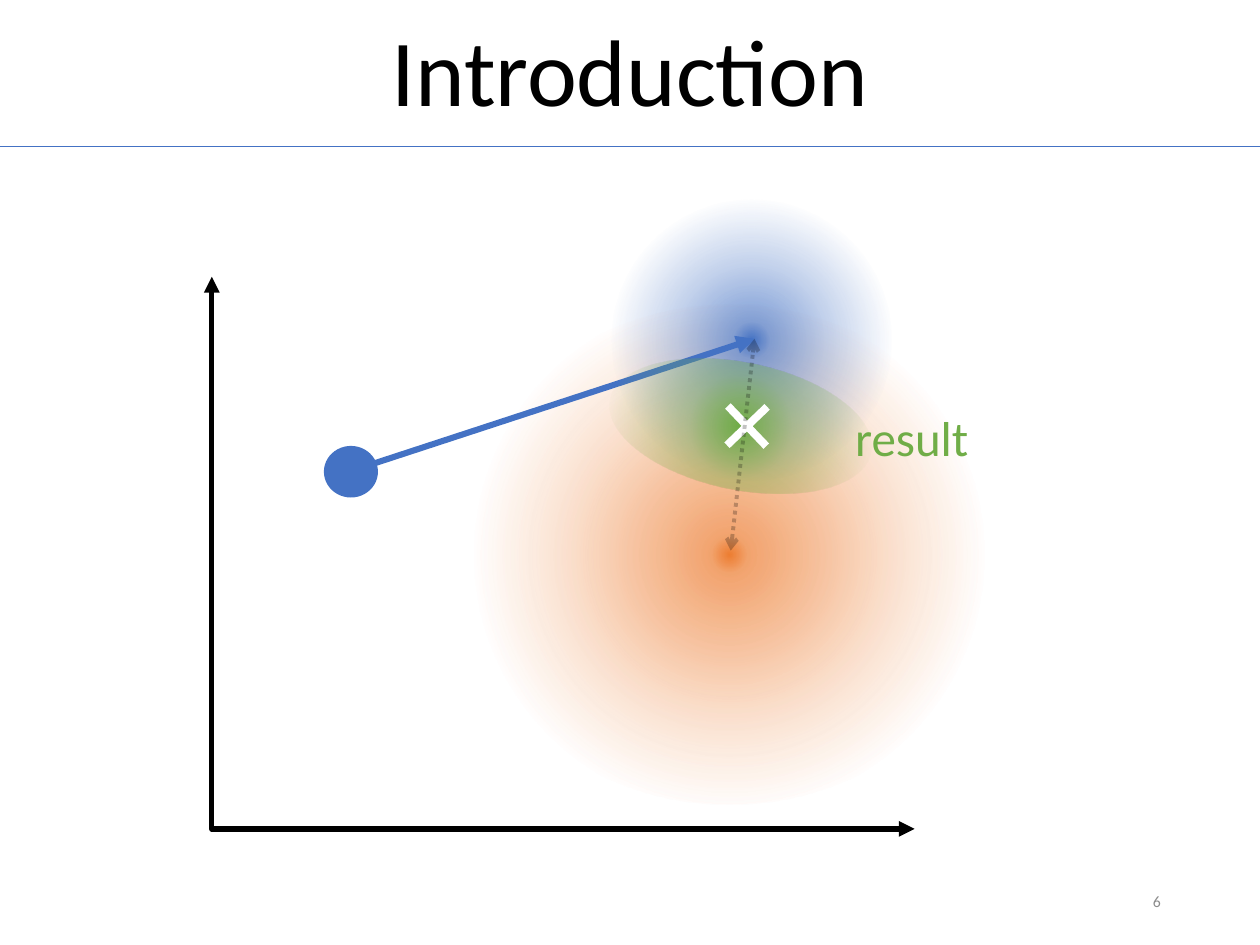
from lxml import etree
from pptx import Presentation
from pptx import util as u
from pptx.dml.color import RGBColor
from pptx.enum import dml, shapes, text
from pptx.oxml import ns

BLUE, ORANGE, GREEN = "4472C4", "ED7D31", "70AD47"
BLACK, WHITE, GRAY = "000000", "FFFFFF", "8C8C8C"


def color(value):
    return RGBColor.from_string(value)


def add_node(parent, tag, **attributes):
    node = etree.SubElement(parent, ns.qn(tag))
    for name, value in attributes.items():
        node.set(name, str(value))
    return node


def write(box, words, size=18, fill=BLACK, align=text.PP_ALIGN.LEFT, spacing=None):
    para = box.text_frame.paragraphs[0]
    para.alignment = align
    para.line_spacing = spacing
    span = para.add_run()
    span.text = words
    span.font.name = "Calibri"
    span.font.size = u.Pt(size)
    span.font.color.rgb = color(fill)


class Sketch:
    def __init__(self, page):
        self.page = page

    def label(self, frame, words, anchor=text.MSO_ANCHOR.TOP, wrap=True, **style):
        box = self.page.shapes.add_textbox(*map(u.Cm, frame))
        box.text_frame.word_wrap = wrap
        box.text_frame.vertical_anchor = anchor
        write(box, words, **style)

    def shape(self, kind, frame, fill, rotation=0):
        shape = self.page.shapes.add_shape(kind, *map(u.Cm, frame))
        shape.shadow.inherit = False
        shape.rotation = rotation
        shape.fill.solid()
        shape.fill.fore_color.rgb = color(fill)
        shape.line.fill.background()
        return shape

    def glow(self, frame, fill, stops, rotation=0):
        """Ellipse fading outwards; stops are (position, opacity) in percent."""
        shape = self.shape(shapes.MSO_SHAPE.OVAL, frame, fill, rotation)
        solid = shape.element.spPr.find(ns.qn("a:solidFill"))
        gradient = etree.Element(ns.qn("a:gradFill"), rotWithShape="1")
        stop_list = add_node(gradient, "a:gsLst")
        for position, opacity in stops:
            stop = add_node(stop_list, "a:gs", pos=position * 1000)
            tone = add_node(stop, "a:srgbClr", val=fill)
            if opacity < 100:
                add_node(tone, "a:alpha", val=opacity * 1000)
        circle = add_node(gradient, "a:path", path="circle")
        add_node(circle, "a:fillToRect", l=50000, t=50000, r=50000, b=50000)
        solid.getparent().replace(solid, gradient)

    def line(self, start, end, stroke, width, head=None, tail=None, dash=None, opacity=100):
        line = self.page.shapes.add_connector(
            shapes.MSO_CONNECTOR.STRAIGHT, *map(u.Cm, start + end))
        line.line.color.rgb = color(stroke)
        line.line.width = u.Pt(width)
        if dash:
            line.line.dash_style = dash
        outline = line.line._get_or_add_ln()
        if opacity < 100:
            tone = outline.find(ns.qn("a:solidFill"))[0]
            add_node(tone, "a:alpha", val=opacity * 1000)
        for tag, arrow in (("a:headEnd", head), ("a:tailEnd", tail)):
            if arrow:
                add_node(outline, tag, type=arrow)
        add_node(line.element.spPr, "a:effectLst")
        return line

    def axes(self, frame, width):
        """One bent connector, turned so that its corner is the origin."""
        left, top, wide, high = frame
        axes = self.line((left, top), (left + wide, top + high), BLACK, width,
                         head="triangle", tail="triangle")
        properties = axes.element.spPr
        properties.find(ns.qn("a:prstGeom")).set("prst", "bentConnector2")
        transform = properties.find(ns.qn("a:xfrm"))
        transform.set("rot", str(270 * 60000))
        transform.set("flipH", "1")


def main():
    deck = Presentation()
    deck.slide_width, deck.slide_height = u.Cm(25.4), u.Cm(19.05)
    sketch = Sketch(deck.slides.add_slide(deck.slide_layouts[6]))
    middle = text.MSO_ANCHOR.MIDDLE

    # Title, rule and page number
    sketch.label((0, 0.05, 25.4, 2.95), "Introduction", anchor=middle,
                 size=54, align=text.PP_ALIGN.CENTER, spacing=0.9)
    sketch.line((0, 2.95), (25.4, 2.95), BLUE, 0.5)
    sketch.label((17.93, 17.65, 5.72, 1.02), "6", anchor=middle,
                 size=9, fill=GRAY, align=text.PP_ALIGN.RIGHT)

    # Two uncertain estimates
    sketch.glow((9.17, 6.15, 11.05, 10.06), ORANGE,
                [(0, 100), (5, 70), (43, 24), (69, 0)])
    sketch.glow((11.86, 3.56, 6.58, 6.58), BLUE,
                [(0, 100), (8, 66), (32, 33), (61, 0)])

    # Axes, starting point and motion
    predicted = (15.21, 6.83)
    sketch.axes((5.79, 4.06, 11.13, 14.17), 3)
    sketch.shape(shapes.MSO_SHAPE.OVAL, (6.53, 8.99, 1.09, 1.04), BLUE)
    sketch.line((7.06, 9.5), predicted, BLUE, 3.5, tail="triangle")

    # Combined result
    sketch.label((16.99, 8.1, 2.82, 1.45), "result", wrap=False, size=28, fill=GREEN)
    sketch.glow((12.24, 7.32, 5.36, 2.54), GREEN,
                [(0, 100), (31, 40), (81, 0)], rotation=11.3)
    cross = sketch.shape(shapes.MSO_SHAPE.CROSS, (14.5, 8.03, 1.12, 1.12), WHITE, 46.3)
    cross.adjustments[0] = 0.43
    sketch.line((14.73, 11.1), predicted, BLACK, 2.25, head="arrow", tail="arrow",
                dash=dml.MSO_LINE.ROUND_DOT, opacity=24)

    deck.save("out.pptx")


if __name__ == "__main__":
    main()
